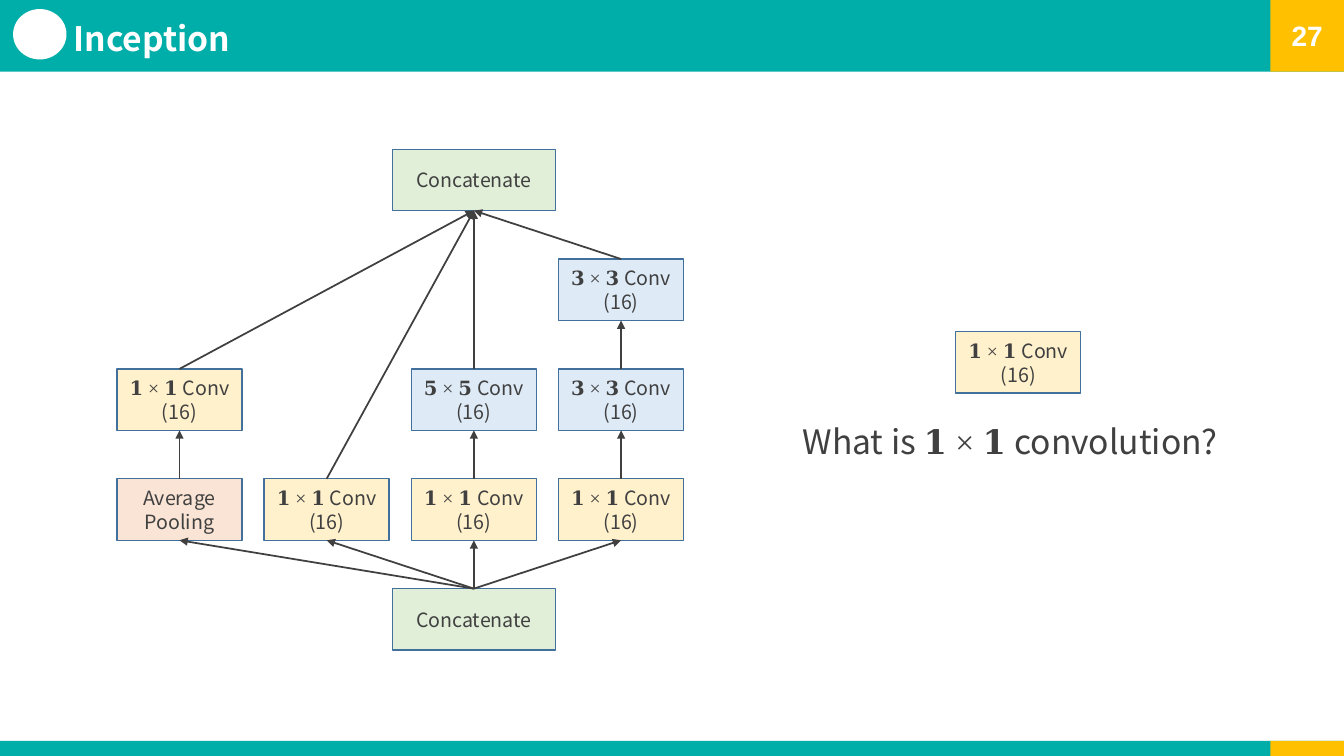
from lxml.etree import SubElement
from pptx import Presentation
from pptx.dml.color import RGBColor
from pptx.enum.shapes import MSO_CONNECTOR, MSO_SHAPE
from pptx.enum.text import MSO_ANCHOR as Anchor, PP_ALIGN as Align
from pptx.oxml.ns import qn
from pptx.util import Inches, Pt

WIDTH, HEIGHT = 13.33, 7.5
SANS, MATH, NUMBER = "Noto Sans CJK SC", "Times New Roman", "Arial"
TEAL, GOLD, WHITE, INK, BORDER = "00AEA9", "FFC000", "FFFFFF", "404040", "41709C"
GREEN, BLUE, YELLOW, PINK = "E1EFD9", "DEEBF7", "FFF1CC", "FAE4D5"

TITLE, PAGE = "Inception", "27"
QUESTION = [[("What is ", SANS), ("𝟏 × 𝟏 ", MATH), ("convolution?", SANS)]]


def conv(kernel):
    return [[(kernel + " ", MATH), ("Conv", SANS)], [("(16)", SANS)]]


CONCATENATE = [[("Concatenate", SANS)]]
POOLING = [[("Average", SANS)], [("Pooling", SANS)]]
CONV_1, CONV_3, CONV_5 = conv("𝟏 × 𝟏"), conv("𝟑 × 𝟑"), conv("𝟓 × 𝟓")

# name: (column, row, fill, label)
BLOCKS = {
    "output": (2, 0, GREEN, CONCATENATE),
    "second 3x3": (3, 1, BLUE, CONV_3),
    "pooled 1x1": (0, 2, YELLOW, CONV_1),
    "5x5": (2, 2, BLUE, CONV_5),
    "first 3x3": (3, 2, BLUE, CONV_3),
    "pooling": (0, 3, PINK, POOLING),
    "plain 1x1": (1, 3, YELLOW, CONV_1),
    "1x1 before 5x5": (2, 3, YELLOW, CONV_1),
    "1x1 before 3x3": (3, 3, YELLOW, CONV_1),
    "input": (2, 4, GREEN, CONCATENATE),
}
BRANCHES = [
    ["input", "pooling", "pooled 1x1", "output"],
    ["input", "plain 1x1", "output"],
    ["input", "1x1 before 5x5", "5x5", "output"],
    ["input", "1x1 before 3x3", "first 3x3", "second 3x3", "output"],
]
GRID_LEFT, GRID_TOP, COLUMN_STEP, ROW_STEP = 1.16, 1.48, 1.46, 1.09
BLOCK_WIDTH, CONCATENATE_WIDTH, BLOCK_HEIGHT = 1.24, 1.62, 0.61
HEADER, FOOTER, CORNER = 0.71, 0.15, 0.73


def color(value):
    return RGBColor.from_string(value)


def write(shape, lines, size, ink=INK, bold=False, align=Align.CENTER, anchor=Anchor.MIDDLE):
    """Fill a shape with lines, each a list of (text, font name) runs."""
    frame = shape.text_frame
    settings = dict(margin_left=0, margin_right=0, margin_top=0, margin_bottom=0,
                    word_wrap=True, vertical_anchor=anchor)
    for name, value in settings.items():
        setattr(frame, name, value)
    for index, line in enumerate(lines):
        paragraph = frame.add_paragraph() if index else frame.paragraphs[0]
        paragraph.alignment = align
        for text, font_name in line:
            run = paragraph.add_run()
            run.text = text
            for name, value in dict(name=font_name, size=Pt(size), bold=bold).items():
                setattr(run.font, name, value)
            run.font.color.rgb = color(ink)


def add_box(slide, left, top, width, height, fill, border=None, kind=MSO_SHAPE.RECTANGLE):
    shape = slide.shapes.add_shape(kind, *map(Inches, (left, top, width, height)))
    shape.shadow.inherit = False
    shape.fill.solid()
    shape.fill.fore_color.rgb = color(fill)
    if border:
        shape.line.color.rgb = color(border)
        shape.line.width = Pt(0.96)
    else:
        shape.line.fill.background()
    return shape


def add_arrow(slide, source, target):
    """Join the top middle of one block to the bottom middle of another."""
    arrow = slide.shapes.add_connector(MSO_CONNECTOR.STRAIGHT, 0, 0, 0, 0)
    arrow.begin_connect(source, 0)
    arrow.end_connect(target, 2)
    arrow.line.color.rgb = color(INK)
    arrow.line.width = Pt(1.25)
    SubElement(arrow.line._get_or_add_ln(), qn("a:tailEnd"), type="triangle")
    SubElement(arrow.element.spPr, qn("a:effectLst"))


def add_frame(slide):
    """Draw the coloured bars, the page number, the emblem and the title."""
    corner_left = WIDTH - CORNER
    for top, height in ((HEIGHT - FOOTER, FOOTER), (0, HEADER)):
        add_box(slide, 0, top, WIDTH, height, TEAL)
        corner = add_box(slide, corner_left, top, CORNER, height, GOLD)
    write(corner, [[(PAGE, NUMBER)]], 20, WHITE, bold=True)
    emblem = add_box(slide, 0.13, 0.09, 0.53, 0.5, WHITE, kind=MSO_SHAPE.OVAL)
    title = slide.shapes.title
    emblem.element.addnext(title.element)
    place = dict(left=0.73, top=0.08, width=9.55, height=0.5)
    for name, value in place.items():
        setattr(title, name, Inches(value))
    write(title, [[(TITLE, SANS)]], 24, WHITE, True, Align.LEFT, Anchor.BOTTOM)
    title.text_frame.paragraphs[0].line_spacing = 0.9


def add_network(slide):
    shapes = {}
    for name, (column, row, fill, label) in BLOCKS.items():
        width = CONCATENATE_WIDTH if label is CONCATENATE else BLOCK_WIDTH
        left = GRID_LEFT + column * COLUMN_STEP + (BLOCK_WIDTH - width) / 2
        top = GRID_TOP + row * ROW_STEP
        shapes[name] = add_box(slide, left, top, width, BLOCK_HEIGHT, fill, BORDER)
        write(shapes[name], label, 14)
    links = dict.fromkeys(pair for branch in BRANCHES for pair in zip(branch, branch[1:]))
    for source, target in links:
        add_arrow(slide, shapes[source], shapes[target])


def add_question(slide):
    example = add_box(slide, 9.48, 3.29, BLOCK_WIDTH, BLOCK_HEIGHT, YELLOW, BORDER)
    write(example, CONV_1, 14)
    question = slide.shapes.add_textbox(*map(Inches, (7.96, 4.16, 4.26, 0.43)))
    write(question, QUESTION, 24, align=Align.LEFT)


def main():
    presentation = Presentation()
    presentation.slide_width = Inches(WIDTH)
    presentation.slide_height = Inches(HEIGHT)
    slide = presentation.slides.add_slide(presentation.slide_layouts[5])
    add_frame(slide)
    add_network(slide)
    add_question(slide)
    presentation.save("out.pptx")


if __name__ == "__main__":
    main()
